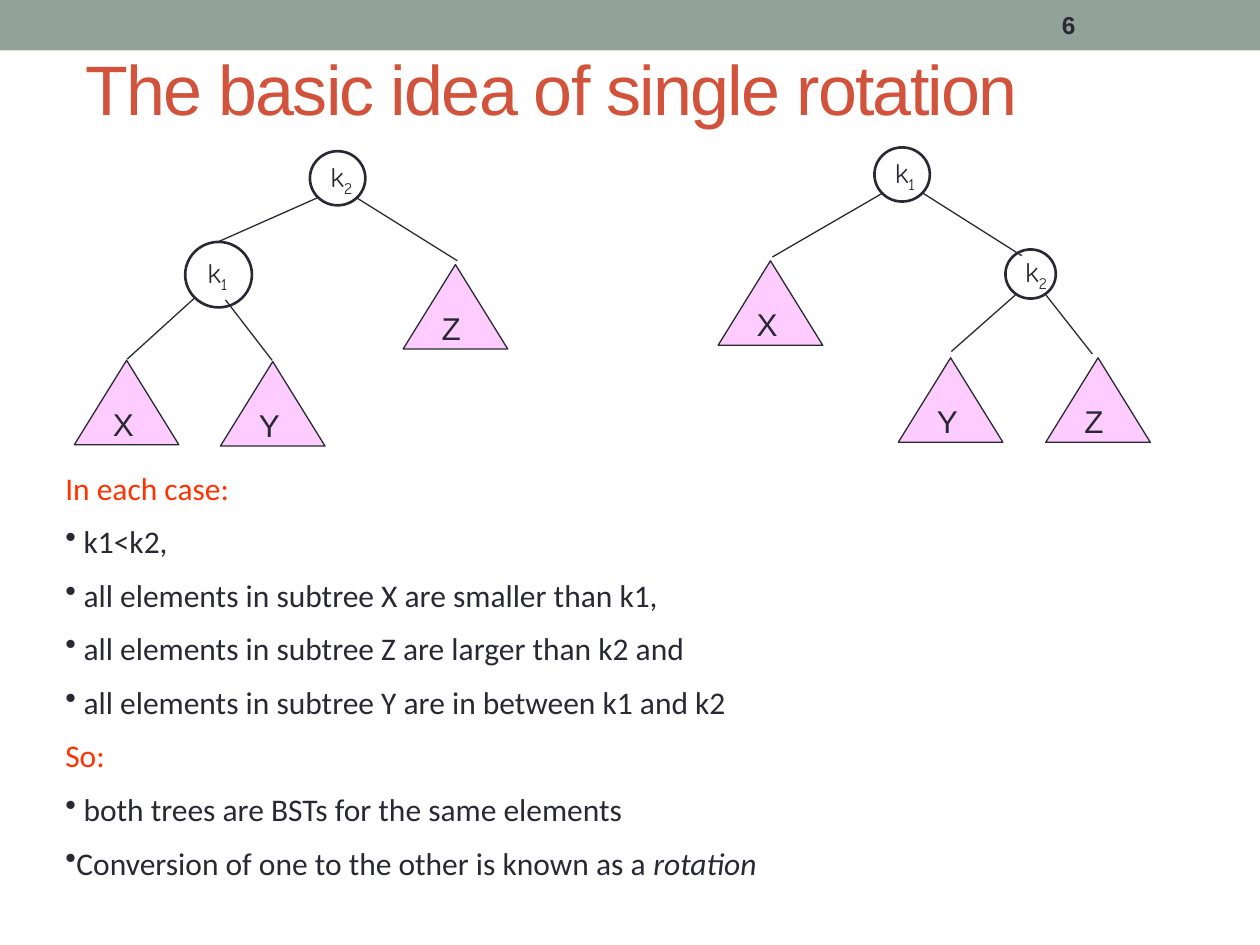
from lxml import etree
from pptx import Presentation
from pptx.dml.color import RGBColor
from pptx.enum.shapes import MSO_CONNECTOR, MSO_SHAPE
from pptx.enum.text import MSO_ANCHOR, MSO_AUTO_SIZE, PP_ALIGN
from pptx.oxml.ns import qn
from pptx.util import Pt

PX = 9144
INK = RGBColor(0x29, 0x29, 0x34)
BAND = RGBColor(0x93, 0xA2, 0x99)
TITLE = RGBColor(0xD2, 0x53, 0x3C)
HEADING = RGBColor(0xFF, 0x33, 0x00)
SUBTREE = RGBColor(0xFF, 0xCC, 0xFF)
RECTANGLE, OVAL = MSO_SHAPE.RECTANGLE, MSO_SHAPE.OVAL
TRIANGLE = MSO_SHAPE.ISOSCELES_TRIANGLE
STRAIGHT = MSO_CONNECTOR.STRAIGHT
MIDDLE, LEFT = MSO_ANCHOR.MIDDLE, PP_ALIGN.LEFT
NO_AUTOFIT = MSO_AUTO_SIZE.NONE
SUBTREE_SIZE = (83, 67)

BEFORE = {
    "nodes": [("1", 88, 72, 53, 52), ("2", 187, 0, 44, 43)],
    "edges": [(193, 37, 114, 72), (224, 37, 304, 87),
              (120, 118, 157, 166), (96, 116, 42, 165)],
    "subtrees": [("X", 0, 166), ("Y", 116, 167), ("Z", 261, 90)],
}
AFTER = {
    "nodes": [("1", 124, 0, 44, 43), ("2", 228, 81, 40, 39)],
    "edges": [(131, 36, 43, 87), (162, 36, 241, 86),
              (236, 117, 185, 162), (260, 117, 297, 164)],
    "subtrees": [("X", 0, 90), ("Y", 143, 167), ("Z", 260, 167)],
}
POINTS = [
    ("In each case:", False),
    (" k1<k2,", True),
    (" all elements in subtree X are smaller than k1,", True),
    (" all elements in subtree Z are larger than k2 and", True),
    (" all elements in subtree Y are in between k1 and k2", True),
    ("So:", False),
    (" both trees are BSTs for the same elements", True),
    ("Conversion of one to the other is known as a ", True),
]


def emu(*lengths):
    return [length * PX for length in lengths]


def format_paragraph(paragraph, font_name, size, color):
    paragraph.alignment = LEFT
    for run in paragraph.runs:
        run.font.name = font_name
        run.font.size = Pt(size)
        run.font.color.rgb = color


def add_label_shape(shapes, kind, box, line_width):
    shape = shapes.add_shape(kind, *emu(*box))
    shape.shadow.inherit = False
    shape.line.color.rgb = INK
    shape.line.width = Pt(line_width)
    shape.text_frame.word_wrap = False
    shape.text_frame.vertical_anchor = MIDDLE
    return shape


def add_node(shapes, subscript, box):
    shape = add_label_shape(shapes, OVAL, box, 1.5)
    shape.fill.background()
    paragraph = shape.text_frame.paragraphs[0]
    paragraph.text = "k"
    run = paragraph.add_run()
    run.text = subscript
    format_paragraph(paragraph, "Comic Neue", 16, INK)
    run.font._element.set("baseline", "-25000")


def add_edge(shapes, ends):
    connector = shapes.add_connector(STRAIGHT, *emu(*ends))
    connector.line.color.rgb = INK
    connector.line.width = Pt(0.75)
    etree.SubElement(connector._element.spPr, qn("a:effectLst"))


def add_subtree(shapes, name, box):
    shape = add_label_shape(shapes, TRIANGLE, box, 0.75)
    shape.fill.solid()
    shape.fill.fore_color.rgb = SUBTREE
    shape.text_frame.text = name
    format_paragraph(shape.text_frame.paragraphs[0], "Arial", 18, INK)


def add_tree(slide, left, top, tree):
    shapes = slide.shapes.add_group_shape().shapes
    for subscript, x, y, width, height in tree["nodes"]:
        add_node(shapes, subscript, (left + x, top + y, width, height))
    for x1, y1, x2, y2 in tree["edges"]:
        add_edge(shapes, (left + x1, top + y1, left + x2, top + y2))
    for name, x, y in tree["subtrees"]:
        add_subtree(shapes, name, (left + x, top + y, *SUBTREE_SIZE))


def add_header(slide, left, top, width, height):
    band = slide.shapes.add_shape(RECTANGLE, *emu(left, top, width, height))
    band.shadow.inherit = False
    band.fill.solid()
    band.fill.fore_color.rgb = BAND
    band.line.fill.background()

    number = slide.shapes.add_textbox(*emu(left + 833, top + 2, 117, 36))
    number.text_frame.word_wrap = True
    number.text_frame.vertical_anchor = MIDDLE
    number.text_frame.text = "6"
    paragraph = number.text_frame.paragraphs[0]
    format_paragraph(paragraph, "Arial", 14, INK)
    paragraph.runs[0].font.bold = True


def place_title(slide, left, top, width, height):
    title = slide.shapes.title
    title.left, title.top, title.width, title.height = emu(
        left, top, width, height)
    text_frame = title.text_frame
    text_frame.text = "The basic idea of single rotation"
    text_frame.auto_size = NO_AUTOFIT
    text_frame.vertical_anchor = MIDDLE
    paragraph = text_frame.paragraphs[0]
    format_paragraph(paragraph, "Arial", 40, TITLE)
    paragraph.runs[0].font._element.set("spc", "-100")


def add_points(slide, left, top, width, height):
    text_frame = slide.shapes.add_textbox(
        *emu(left, top, width, height)).text_frame
    text_frame.word_wrap = True
    for index, (text, bulleted) in enumerate(POINTS):
        paragraph = (text_frame.add_paragraph() if index
                     else text_frame.paragraphs[0])
        paragraph.text = text
        paragraph.space_before = Pt(9)
        format_paragraph(paragraph, "Calibri", 18, INK if bulleted else HEADING)
        if bulleted:
            properties = paragraph._p.get_or_add_pPr()
            etree.SubElement(properties, qn("a:buChar")).set("char", "•")
    term = paragraph.add_run()
    term.text = "rotation"
    term.font.italic = True
    format_paragraph(paragraph, "Calibri", 18, INK)


def main():
    presentation = Presentation()
    presentation.slide_width, presentation.slide_height = emu(1000, 750)
    slide = presentation.slides.add_slide(presentation.slide_layouts[5])
    add_header(slide, 0, 0, 1000, 40)
    place_title(slide, 58, 26, 900, 87)
    add_tree(slide, 59, 120, BEFORE)
    add_tree(slide, 570, 117, AFTER)
    add_points(slide, 42, 367, 817, 356)
    presentation.save("out.pptx")


if __name__ == "__main__":
    main()
